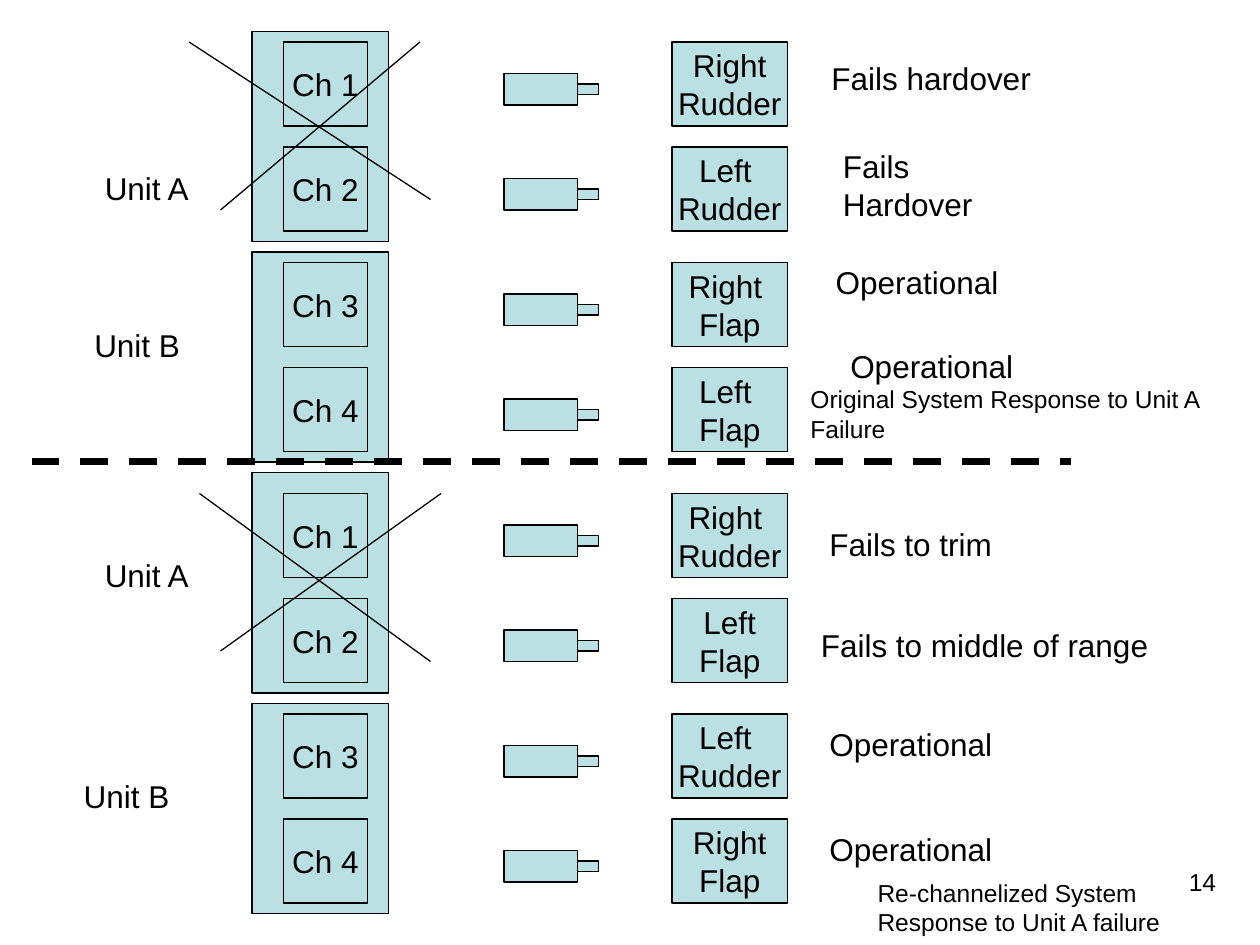
from dataclasses import dataclass

from lxml import etree
from pptx import Presentation
from pptx.dml.color import RGBColor
from pptx.enum.dml import MSO_LINE
from pptx.enum.shapes import MSO_CONNECTOR, MSO_SHAPE
from pptx.enum.text import MSO_ANCHOR, MSO_AUTO_SIZE, PP_ALIGN
from pptx.oxml.ns import qn
from pptx.util import Emu, Pt

RECTANGLE = MSO_SHAPE.RECTANGLE
STRAIGHT = MSO_CONNECTOR.STRAIGHT
DASH = MSO_LINE.DASH
LEFT, CENTER, RIGHT = PP_ALIGN.LEFT, PP_ALIGN.CENTER, PP_ALIGN.RIGHT
MIDDLE, TOP = MSO_ANCHOR.MIDDLE, MSO_ANCHOR.TOP
GROW, FIXED = MSO_AUTO_SIZE.SHAPE_TO_FIT_TEXT, MSO_AUTO_SIZE.NONE

EMU_PER_PX = 7620  # 120 px to the inch


def px(length):
    return Emu(length * EMU_PER_PX)


@dataclass(frozen=True)
class Theme:
    font: str = "Arial"
    ink: RGBColor = RGBColor(0x00, 0x00, 0x00)
    box_fill: RGBColor = RGBColor(0xBB, 0xE0, 0xE3)
    body: int = 18
    caption: int = 14
    thin: float = 0.75
    thick: float = 4


class Diagram:
    def __init__(self, slide, theme):
        self.shapes = slide.shapes
        self.theme = theme

    def fill_text(self, shape, lines, size, align, frame_format):
        frame = shape.text_frame
        for name, value in frame_format.items():
            setattr(frame, name, value)
        frame.text = "\n".join(lines)
        font_format = {"name": self.theme.font, "size": Pt(size)}
        for paragraph in frame.paragraphs:
            paragraph.alignment = align
            for run in paragraph.runs:
                for name, value in font_format.items():
                    setattr(run.font, name, value)
                run.font.color.rgb = self.theme.ink

    def box(self, left, top, width, height, *lines):
        shape = self.shapes.add_shape(RECTANGLE, *map(px, (left, top, width, height)))
        shape.shadow.inherit = False
        shape.fill.solid()
        shape.fill.fore_color.rgb = self.theme.box_fill
        shape.line.color.rgb = self.theme.ink
        shape.line.width = Pt(self.theme.thin)
        if lines:
            self.fill_text(shape, lines, self.theme.body, CENTER,
                           {"word_wrap": False, "vertical_anchor": MIDDLE})

    def text(self, left, top, width, height, *lines, size=None, align=LEFT,
             wrap=False, fit=GROW):
        shape = self.shapes.add_textbox(*map(px, (left, top, width, height)))
        self.fill_text(shape, lines, size or self.theme.body, align,
                       {"word_wrap": wrap, "auto_size": fit, "vertical_anchor": TOP})

    def line(self, start_x, start_y, end_x, end_y, width=None, dash=None):
        connector = self.shapes.add_connector(
            STRAIGHT, *map(px, (start_x, start_y, end_x, end_y)))
        connector.line.color.rgb = self.theme.ink
        connector.line.width = Pt(width or self.theme.thin)
        if dash:
            connector.line.dash_style = dash
        etree.SubElement(connector._element.spPr, qn("a:effectLst"))

    def channel_row(self, top, channel, surface):
        self.box(270, top, 80, 80, f"Ch {channel}")
        self.box(480, top + 30, 70, 30)  # actuator body
        self.box(550, top + 40, 20, 10)  # actuator rod
        self.box(640, top, 110, 80, *surface)


UNITS = [(30, 200), (240, 200), (450, 210), (670, 200)]  # top, height
ROW_OFFSETS = [0, 100, 210, 310]
SYSTEMS = [  # top of the first row, surface driven by each channel
    (40, [("Right", "Rudder"), ("Left ", "Rudder"),
          ("Right ", "Flap"), ("Left ", "Flap")]),
    (470, [("Right ", "Rudder"), ("Left", "Flap"),
           ("Left ", "Rudder"), ("Right", "Flap")]),
]
LABELS = [  # left, top, width, text
    (88, 155, 106, "Unit A"),
    (78, 305, 106, "Unit B"),
    (88, 524, 106, "Unit A"),
    (68, 734, 106, "Unit B"),
    (780, 50, 214, "Fails hardover"),
    (791, 134, 218, "Fails Hardover"),
    (784, 245, 179, "Operational"),
    (798, 325, 179, "Operational"),
    (778, 494, 179, "Fails to trim"),
    (770, 590, 336, "Fails to middle of range"),
    (778, 685, 179, "Operational"),
    (778, 785, 179, "Operational"),
]
FAILURE_CROSSES = [
    (180, 40, 410, 190), (210, 200, 400, 40),
    (210, 620, 420, 470), (190, 470, 410, 630),
]


def main():
    presentation = Presentation()
    presentation.slide_width, presentation.slide_height = px(1200), px(900)
    slide = presentation.slides.add_slide(presentation.slide_layouts[6])
    theme = Theme()
    diagram = Diagram(slide, theme)

    # Units behind their channels
    for top, height in UNITS:
        diagram.box(240, top, 130, height)

    # Channel, actuator and control surface on each row
    for system_top, surfaces in SYSTEMS:
        for channel, (offset, surface) in enumerate(zip(ROW_OFFSETS, surfaces), 1):
            diagram.channel_row(system_top + offset, channel, surface)

    # Divider between the two systems
    diagram.line(30, 440, 1020, 440, theme.thick, DASH)

    # Unit names and outcomes
    for left, top, width, label in LABELS:
        diagram.text(left, top, width, 48, label)

    # System captions
    diagram.text(760, 360, 440, 68, "Original System Response to Unit A Failure",
                 size=theme.caption, wrap=True)
    diagram.text(824, 830, 295, 68, "Re-channelized System",
                 "Response to Unit A failure", size=theme.caption, wrap=True)

    # Crosses over the failed units
    for ends in FAILURE_CROSSES:
        diagram.line(*ends)

    # Slide number
    diagram.text(890, 820, 280, 62, "14", size=theme.caption, align=RIGHT,
                 wrap=True, fit=FIXED)

    presentation.save("out.pptx")


if __name__ == "__main__":
    main()
